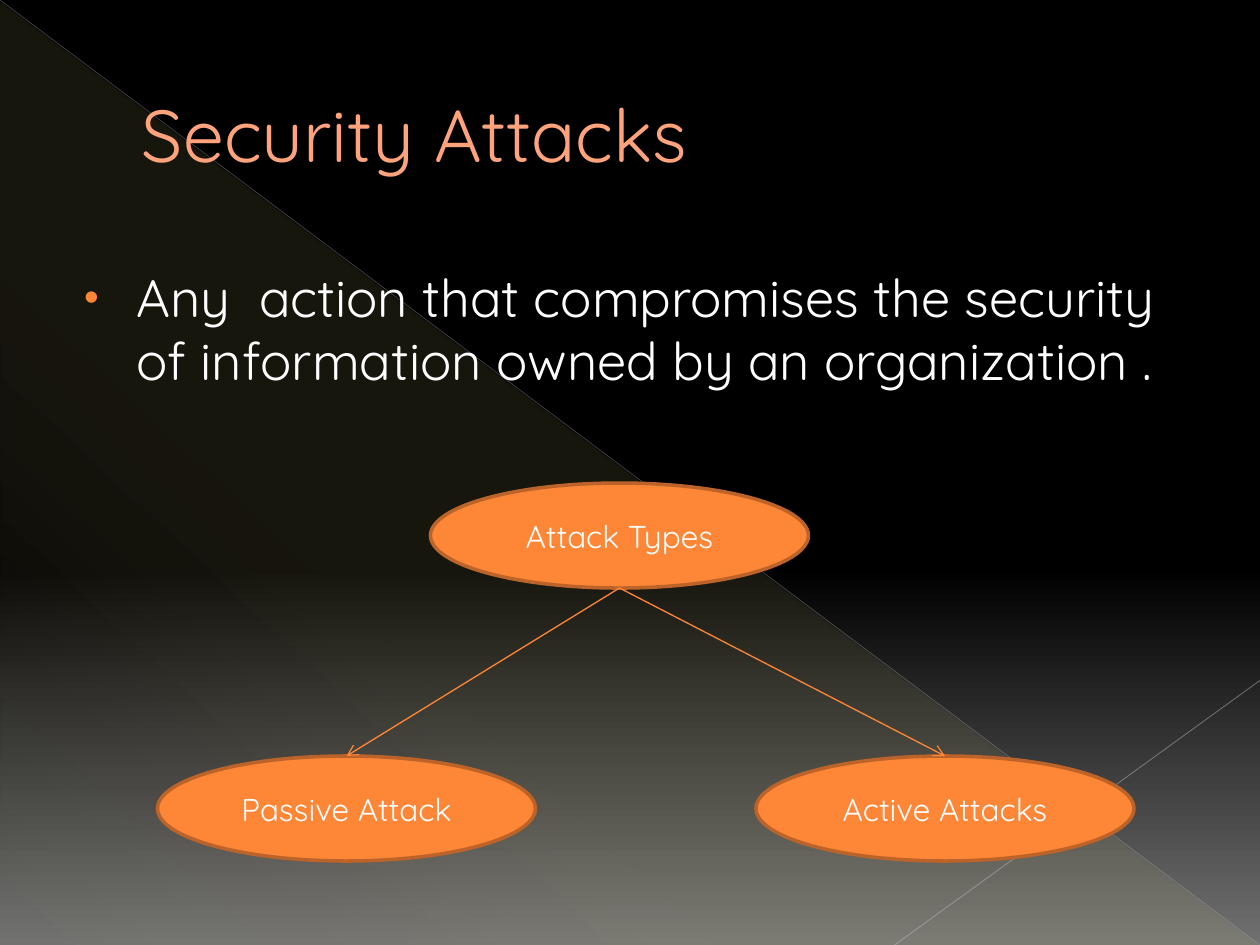
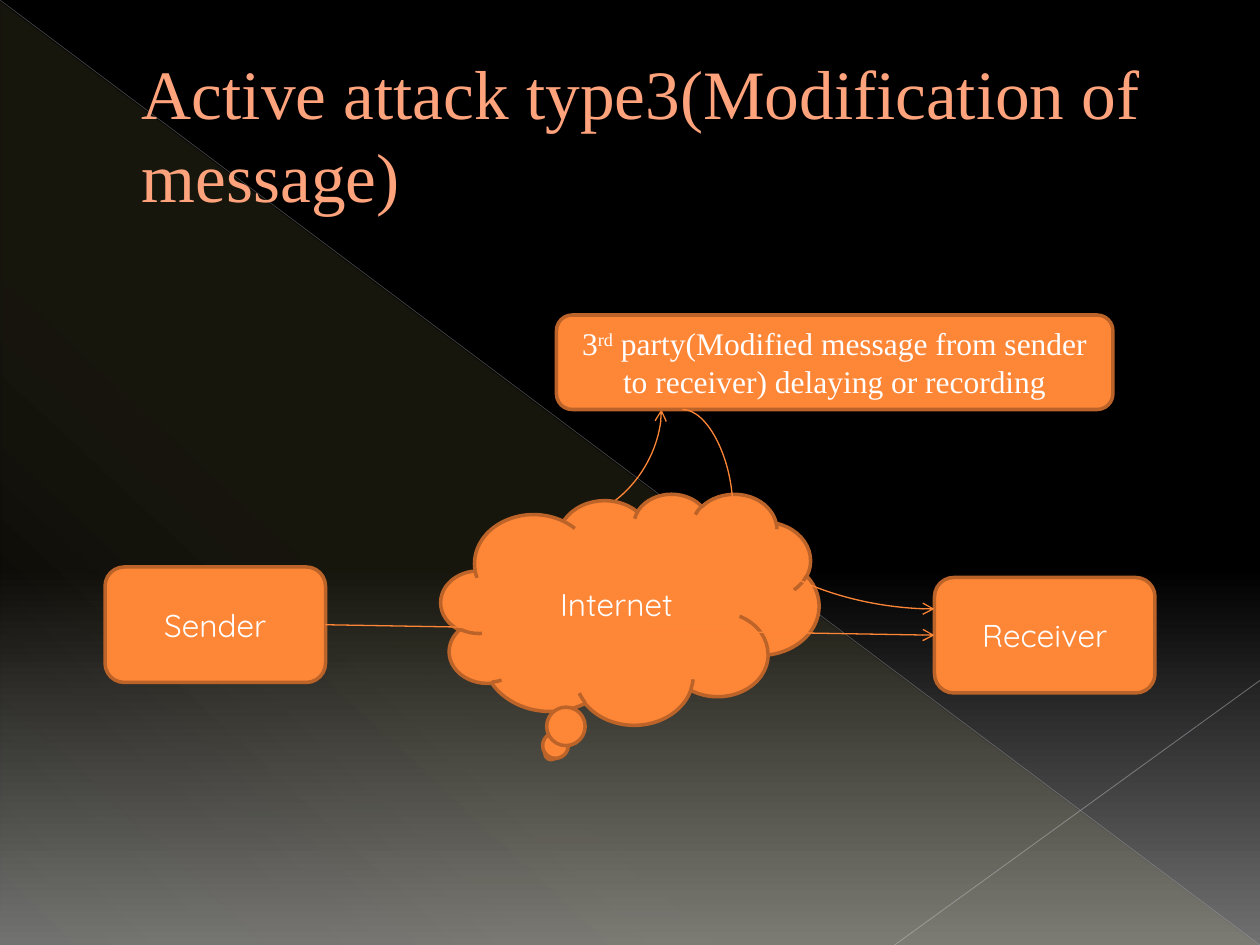
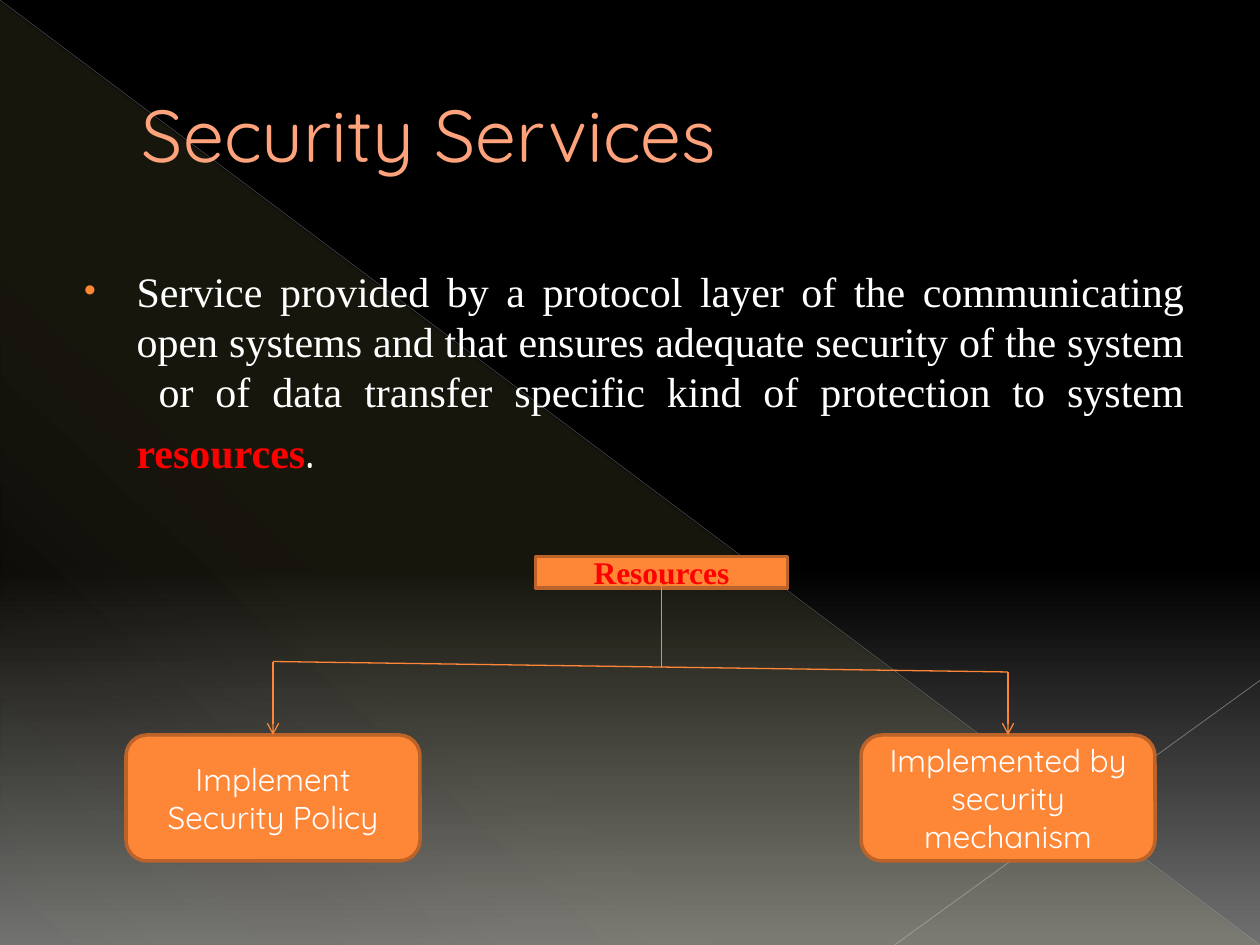
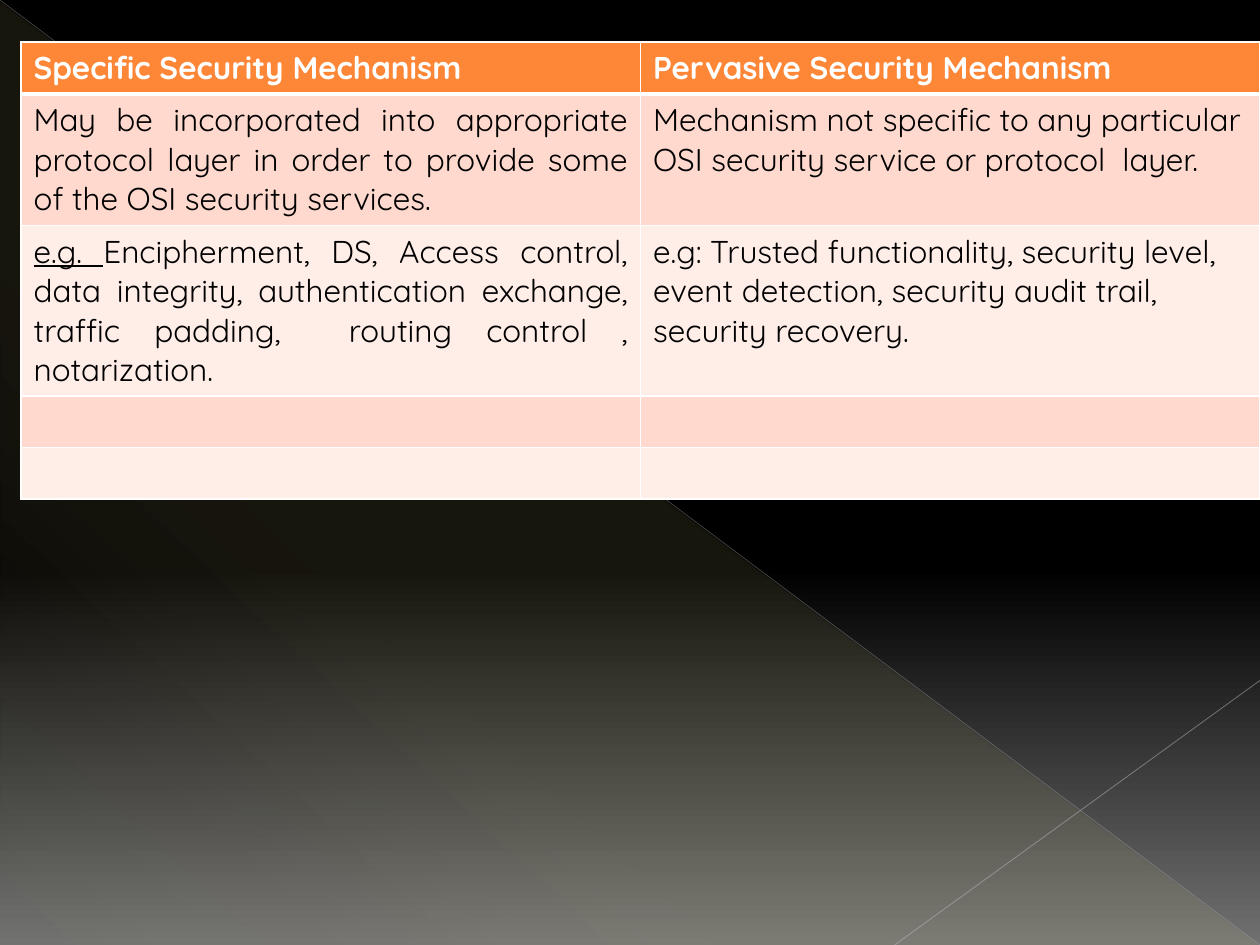
from dataclasses import dataclass

from lxml.etree import SubElement
from pptx import Presentation
from pptx.dml.color import RGBColor
from pptx.enum.shapes import MSO_CONNECTOR, MSO_SHAPE
from pptx.enum.text import MSO_ANCHOR, PP_ALIGN
from pptx.oxml import parse_xml
from pptx.oxml.ns import nsdecls, qn
from pptx.util import Pt

SANS, SERIF = "Quicksand", "Times New Roman"
WHITE, BLACK, RED = "FFFFFF", "000000", "FF0000"
ORANGE, EDGE, DARK_ORANGE = "FE8637", "FF8636", "BC6329"
TITLE_COLOR, TITLE_OUTLINE = "FFA37C", "B05D26"
BAND_FILLS = ("FFD9CE", "FFEDE8")


@dataclass
class Box:
    """A rectangle in points."""
    left: float
    top: float
    width: float
    height: float

    def at(self, across, down):
        """Return the point at the given fractions of the box."""
        return self.left + across * self.width, self.top + down * self.height

    def inner(self, left, top, width, height):
        """Return a box placed relative to this one."""
        return Box(self.left + left, self.top + top, width, height)

    def lengths(self):
        """Return left, top, width and height as lengths."""
        return Pt(self.left), Pt(self.top), Pt(self.width), Pt(self.height)


PAGE = Box(0, 0, 720, 540)
TITLE_BOX = Box(36, 21, 648, 110)
BODY_BOX = Box(36, 148, 648, 360)


def color(value):
    """Turn a hex string into a colour."""
    return RGBColor.from_string(value)


def add_xml(parent, xml, position=None):
    """Put a drawing element into its parent."""
    element = parse_xml(xml.replace(">", f" {nsdecls('a')}>", 1) if "/>" not in xml.split(">")[0] + ">"
                        else xml.replace("/>", f" {nsdecls('a')}/>", 1))
    parent.insert(len(parent) if position is None else position, element)


def set_gradient(fill, owner, stops, angle):
    """Fill with stops of position, colour and opacity in percent."""
    fill.gradient()
    gradient = next(owner.iter(qn("a:gradFill")))
    for child in list(gradient):
        gradient.remove(child)
    stop_list = SubElement(gradient, qn("a:gsLst"))
    for position, value, opacity in stops:
        stop = SubElement(stop_list, qn("a:gs"), pos=str(position * 1000))
        shade = SubElement(stop, qn("a:srgbClr"), val=value)
        SubElement(shade, qn("a:alpha"), val=str(opacity * 1000))
    SubElement(gradient, qn("a:lin"), ang=str(angle * 60000), scaled="0")


def add_runs(paragraph, segments, **defaults):
    """Write segments of text and overrides with shared defaults."""
    for text, overrides in segments:
        style = {"size": 18, "font": SANS, "color": WHITE, **defaults, **overrides}
        run = paragraph.add_run()
        run.text = text
        run.font.size = Pt(style["size"])
        run.font.name = style["font"]
        run.font.color.rgb = color(style["color"])
        run.font.bold = style.get("bold", False)
        run.font.underline = style.get("underline", False)
        if style.get("superscript"):
            run.font._element.set("baseline", "30000")


def add_line(slide, start, end, line_color=EDGE, width=0.75, opacity=100,
             arrow=False, kind=MSO_CONNECTOR.STRAIGHT):
    """Draw a connector between two points."""
    connector = slide.shapes.add_connector(kind, *map(Pt, (*start, *end)))
    connector.line.width = Pt(width)
    connector.line.color.rgb = color(line_color)
    properties = connector._element.spPr
    line = properties.find(qn("a:ln"))
    if opacity < 100:
        SubElement(next(line.iter(qn("a:srgbClr"))), qn("a:alpha"), val=str(opacity * 1000))
    if arrow:
        SubElement(line, qn("a:tailEnd"), type="arrow")
    SubElement(properties, qn("a:effectLst"))
    return connector


def add_rising_curve(slide, start, end):
    """Draw a curved arrow that leaves and arrives vertically, up to the right."""
    center_x, center_y = (start[0] + end[0]) / 2, (start[1] + end[1]) / 2
    half_run, half_rise = (end[0] - start[0]) / 2, (start[1] - end[1]) / 2
    connector = add_line(slide, (center_x + half_rise, center_y + half_run),
                         (center_x - half_rise, center_y - half_run),
                         arrow=True, kind=MSO_CONNECTOR.CURVE)
    connector._element.spPr.find(qn("a:xfrm")).set("rot", str(90 * 60000))


def add_bent_curve(slide, start, end, bend):
    """Draw a horizontal curved arrow that bends at a fraction of its width."""
    connector = add_line(slide, start, end, arrow=True, kind=MSO_CONNECTOR.CURVE)
    adjustments = next(connector._element.iter(qn("a:avLst")))
    SubElement(adjustments, qn("a:gd"), name="adj1", fmla=f"val {round(bend * 100000)}")


def add_node(slide, kind, box, segments, **style):
    """Draw an orange labelled shape."""
    shape = slide.shapes.add_shape(kind, *box.lengths())
    shape.shadow.inherit = False
    shape.fill.solid()
    shape.fill.fore_color.rgb = color(ORANGE)
    shape.line.color.rgb = color(DARK_ORANGE)
    shape.line.width = Pt(2)
    shape.text_frame.word_wrap = True
    shape.text_frame.vertical_anchor = MSO_ANCHOR.MIDDLE
    paragraph = shape.text_frame.paragraphs[0]
    paragraph.alignment = PP_ALIGN.CENTER
    if isinstance(segments, str):
        segments = [(segments, {})]
    add_runs(paragraph, segments, **style)


def add_backdrop(slide, box):
    """Draw the dark gradient, the pale triangle and the two thin lines."""
    set_gradient(slide.background.fill, slide._element,
                 [(0, BLACK, 100), (60, BLACK, 100), (100, "707070", 100)], 90)
    triangle = slide.shapes.add_shape(MSO_SHAPE.RIGHT_TRIANGLE,
                                      *box.inner(0.5, 1, box.width - 1, box.height - 1).lengths())
    triangle.shadow.inherit = False
    triangle.line.fill.background()
    set_gradient(triangle.fill, triangle._element,
                 [(0, "FFF39D", 10), (70, "FFF39D", 8), (100, "FFF39D", 1)], 133)
    add_line(slide, box.at(0, 0), box.at(1, 1), "BABDC4", 0.39, 35)
    add_line(slide, box.at(1, 0.72), box.at(0.71, 1), "C1C4CA", 0.47, 45)


def add_text_area(slide, box):
    """Add a wrapping text box and return its frame."""
    text_frame = slide.shapes.add_textbox(*box.lengths()).text_frame
    text_frame.word_wrap = True
    return text_frame


def add_title(slide, box, text, **style):
    """Write the outlined slide title."""
    text_frame = add_text_area(slide, box)
    text_frame.vertical_anchor = MSO_ANCHOR.MIDDLE
    paragraph = text_frame.paragraphs[0]
    paragraph._p.get_or_add_pPr().set("marL", str(Pt(38)))
    add_runs(paragraph, [(text, {})], **{"size": 42, "color": TITLE_COLOR, **style})
    add_xml(paragraph.runs[0].font._element,
            f'<a:ln w="{Pt(0.5)}"><a:solidFill><a:srgbClr val="{TITLE_OUTLINE}"/>'
            '</a:solidFill></a:ln>', 0)


def add_body(slide, box, segments, alignment=PP_ALIGN.LEFT, **style):
    """Write one bulleted paragraph."""
    paragraph = add_text_area(slide, box).paragraphs[0]
    paragraph.alignment = alignment
    properties = paragraph._p.get_or_add_pPr()
    properties.set("marL", str(Pt(35)))
    properties.set("indent", str(Pt(-30)))
    for xml in ('<a:spcBef><a:spcPct val="20000"/></a:spcBef>',
                f'<a:buClr><a:srgbClr val="{ORANGE}"/></a:buClr>',
                '<a:buSzPct val="80000"/>',
                '<a:buFont typeface="Arial"/>',
                '<a:buChar char="•"/>'):
        add_xml(properties, xml)
    add_runs(paragraph, segments, **style)


def add_attack_tree(slide, box):
    """Draw the attack types and their two branches."""
    root = box.inner(156, 0, 216, 60)
    branches = {"Active Attacks": box.inner(342, 156, 216, 60),
                "Passive Attack": box.inner(0, 156, 216, 60)}
    add_node(slide, MSO_SHAPE.OVAL, root, "Attack Types")
    for label, branch in branches.items():
        add_node(slide, MSO_SHAPE.OVAL, branch, label)
        add_line(slide, root.at(0.5, 1), branch.at(0.5, 0), arrow=True)


def add_message_flow(slide, box):
    """Draw a message that a third party changes on its way."""
    sender = box.inner(0, 144, 126, 66)
    receiver = box.inner(474, 150, 126, 66)
    third_party = box.inner(258, 0, 318, 54)
    cloud = box.inner(192, 102, 216, 132)
    rounded = MSO_SHAPE.FLOWCHART_ALTERNATE_PROCESS
    add_rising_curve(slide, (cloud.left + 12, cloud.top + 78), (third_party.left + 60, third_party.top + 54))
    add_node(slide, MSO_SHAPE.CLOUD_CALLOUT, cloud, "Internet")
    add_node(slide, rounded, sender, "Sender")
    add_node(slide, rounded, receiver, "Receiver")
    add_node(slide, rounded, third_party, [
        ("3", {}), ("rd", {"superscript": True}),
        (" party(Modified message from sender to receiver) delaying or recording", {})], font=SERIF)
    add_line(slide, sender.at(1, 0.5), receiver.at(0, 0.5), arrow=True)
    add_bent_curve(slide, (third_party.left + 72, third_party.top + 54),
                   (receiver.left, receiver.top + 18), 0.2)


def add_resource_tree(slide, box):
    """Draw the resources with policy and mechanism below."""
    resources = box.inner(234, 0, 144, 18)
    policy = box.inner(0, 102, 168, 72)
    mechanism = box.inner(420, 102, 168, 72)
    rounded = MSO_SHAPE.FLOWCHART_ALTERNATE_PROCESS
    add_node(slide, rounded, policy, "Implement Security Policy")
    add_node(slide, rounded, mechanism, "Implemented by security mechanism")
    add_node(slide, MSO_SHAPE.RECTANGLE, resources, "Resources", font=SERIF, color=RED, bold=True)
    policy_top, mechanism_top = policy.at(0.5, 0), mechanism.at(0.5, 0)
    bar_left = (policy_top[0], box.top + 60)
    bar_right = (mechanism_top[0], box.top + 66)
    stem_x = resources.at(0.5, 0)[0]
    add_line(slide, (stem_x, box.top + 15), (stem_x, box.top + 64))
    add_line(slide, bar_left, bar_right)
    add_line(slide, bar_left, policy_top, arrow=True)
    add_line(slide, bar_right, mechanism_top, arrow=True)


def format_cell(cell, fill, top_width, bottom_width):
    """Give a cell its white borders and its fill."""
    properties = cell._tc.get_or_add_tcPr()
    for side, width in (("L", 1), ("R", 1), ("T", top_width), ("B", bottom_width)):
        add_xml(properties, f'<a:ln{side} w="{Pt(width)}"><a:solidFill>'
                            f'<a:srgbClr val="{WHITE}"/></a:solidFill></a:ln{side}>')
    cell.fill.solid()
    cell.fill.fore_color.rgb = color(fill)


def add_mechanism_table(slide, box):
    """Compare specific and pervasive mechanisms."""
    rows = [
        ([("Specific Security Mechanism", {})], [("Pervasive Security Mechanism", {})]),
        ([("May be incorporated into appropriate protocol layer in order to provide some of the "
           "OSI security services.", {})],
         [("Mechanism not specific to any particular OSI security service or protocol  layer.", {})]),
        ([("e.g. ", {"underline": True}),
          ("Encipherment, DS, Access control, data integrity, authentication exchange, "
           "traffic padding,  routing control , notarization.", {})],
         [("e.g: Trusted functionality, security level, event detection, security audit trail, "
           "security recovery.", {})]),
        ([], []),
        ([], []),
    ]
    table = slide.shapes.add_table(len(rows), 2, *box.lengths()).table
    table.horz_banding = False
    for row_index, row in enumerate(rows):
        header = row_index == 0
        fill = ORANGE if header else BAND_FILLS[(row_index - 1) % 2]
        for column_index, segments in enumerate(row):
            cell = table.cell(row_index, column_index)
            format_cell(cell, fill, 3 if row_index == 1 else 1, 3 if header else 1)
            paragraph = cell.text_frame.paragraphs[0]
            if segments and column_index == 0 and not header:
                paragraph.alignment = PP_ALIGN.JUSTIFY
            add_runs(paragraph, segments, color=WHITE if header else BLACK, bold=header)


def main():
    """Build the four slides and save them."""
    presentation = Presentation()
    presentation.slide_width, presentation.slide_height = Pt(PAGE.width), Pt(PAGE.height)
    slides = [presentation.slides.add_slide(presentation.slide_layouts[6]) for _ in range(4)]
    for slide in slides:
        add_backdrop(slide, PAGE)
    attacks, modification, services, mechanisms = slides

    add_title(attacks, TITLE_BOX, "Security Attacks")
    add_body(attacks, BODY_BOX, [("Any  action that compromises the security of information "
                                  "owned by an organization .", {})], size=30)
    add_attack_tree(attacks, Box(90, 276, 558, 216))

    add_title(modification, TITLE_BOX, "Active attack type3(Modification of message)",
              size=39.6, font=SERIF)
    add_message_flow(modification, Box(60, 180, 600, 234))

    add_title(services, TITLE_BOX, "Security Services")
    add_body(services, BODY_BOX, [
        ("Service provided by a protocol layer of the communicating open systems and that ensures "
         "adequate security of the system  or of data transfer specific kind of protection "
         "to system ", {}),
        ("resources", {"color": RED, "bold": True}),
        (".", {"size": 30, "font": SANS})], PP_ALIGN.JUSTIFY, size=24, font=SERIF)
    add_resource_tree(services, Box(72, 318, 588, 174))

    add_mechanism_table(mechanisms, Box(12, 24, 708, 147.5))
    presentation.save("out.pptx")


if __name__ == "__main__":
    main()
